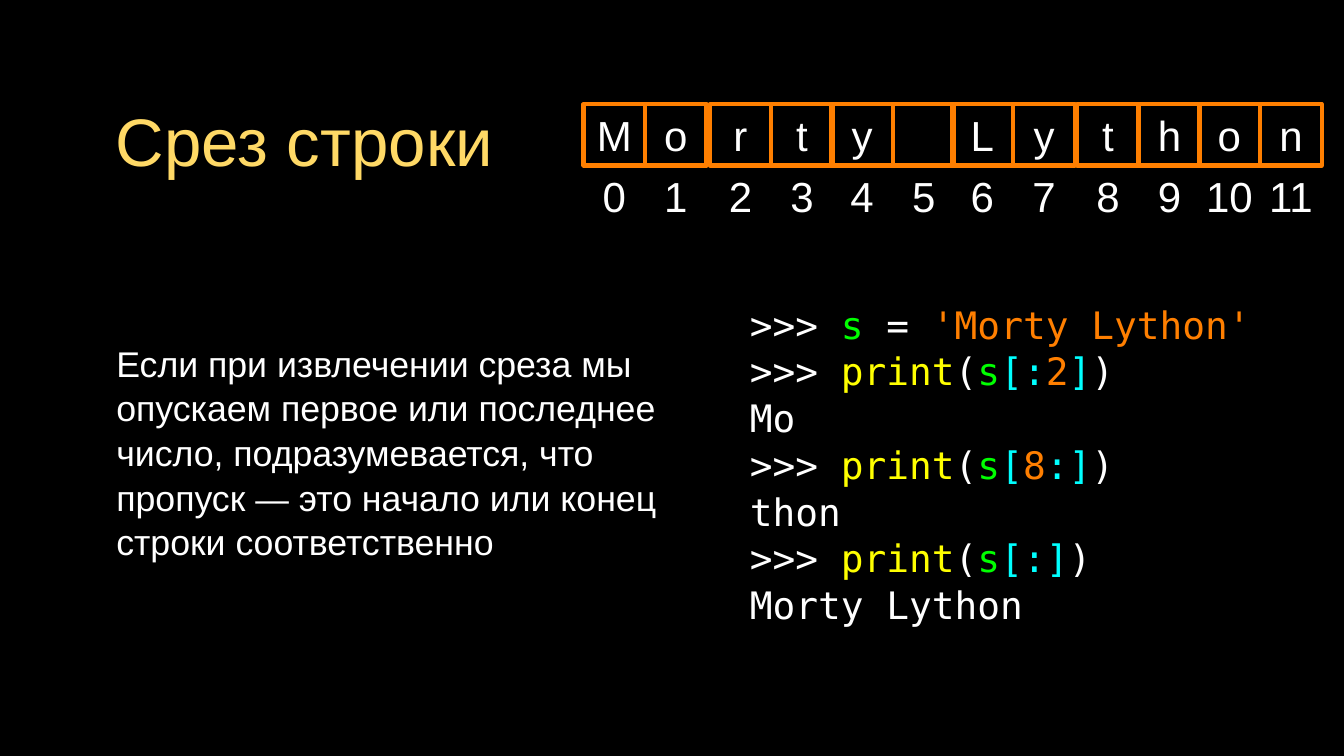
from dataclasses import dataclass

from lxml import etree
from pptx import Presentation
from pptx.dml.color import RGBColor
from pptx.enum.shapes import MSO_SHAPE
from pptx.enum.text import MSO_ANCHOR, MSO_AUTO_SIZE, PP_ALIGN
from pptx.oxml.ns import qn
from pptx.util import Cm, Pt

RECTANGLE = MSO_SHAPE.RECTANGLE
MIDDLE = MSO_ANCHOR.MIDDLE
NO_AUTOFIT = MSO_AUTO_SIZE.NONE
CENTER, LEFT = PP_ALIGN.CENTER, PP_ALIGN.LEFT


@dataclass(frozen=True)
class Theme:
    """Colours, fonts and type sizes of the slide."""

    background: str = "000000"
    text: str = "FFFFFF"
    heading: str = "FFD966"
    literal: str = "FF7F00"
    variable: str = "00FF00"
    function: str = "FFFF00"
    slicing: str = "00FFFF"
    prose_font: str = "Arial"
    code_font: str = "DejaVu Sans Mono"
    title_size: int = 64
    letter_size: int = 40
    code_size: int = 36
    body_size: int = 34
    dash_size: int = 32


THEME = Theme()
WORD = "Morty Lython"
PAIR_LEFTS = (19.61, 23.85, 27.94, 31.98, 36.2, 40.28)
CELL_STEP, CELL_SIZE = 2.07, 2.06
CELL_TOP, INDEX_TOP = 3.5, 5.55
EXPLANATION = (
    ("Если при извлечении среза мы опускаем первое или последнее число, "
     "подразумевается, что пропуск ", THEME.body_size),
    ("—", THEME.dash_size),
    (" это начало или конец строки соответственно", THEME.body_size),
)


def apply_format(target, values):
    """Set each named attribute of the target."""
    for name, value in values.items():
        setattr(target, name, value)


def place(shape, left, top, width, height):
    """Move and size a shape, in centimetres."""
    apply_format(shape, {"left": Cm(left), "top": Cm(top),
                         "width": Cm(width), "height": Cm(height)})


def format_frame(frame, inset=0):
    """Centre the text vertically with equal insets."""
    sides = ("margin_left", "margin_top", "margin_right", "margin_bottom")
    apply_format(frame, {"word_wrap": True, "auto_size": NO_AUTOFIT,
                         "vertical_anchor": MIDDLE, **dict.fromkeys(sides, Cm(inset))})


def add_run(paragraph, text, size, color=THEME.text, font=THEME.prose_font):
    """Append a formatted run to a paragraph."""
    run = paragraph.add_run()
    run.text = text
    apply_format(run.font, {"size": Pt(size), "name": font})
    run.font.color.rgb = RGBColor.from_string(color)


def fill_title(title):
    """Write the slide title."""
    place(title, 3.2, 2.31, 14.05, 4.75)
    format_frame(title.text_frame, 0.1)
    heading = title.text_frame.paragraphs[0]
    heading.alignment = CENTER
    add_run(heading, "Срез строки", THEME.title_size, THEME.heading)


def fill_explanation(body):
    """Write the explanation without a bullet."""
    place(body, 3.2, 7.24, 19.51, 15.85)
    format_frame(body.text_frame, 0.1)
    paragraph = body.text_frame.paragraphs[0]
    properties = paragraph._p.get_or_add_pPr()
    properties.set("marL", str(Cm(0.61)))
    properties.set("indent", "0")
    etree.SubElement(properties, qn("a:buNone"))
    apply_format(paragraph, {"alignment": LEFT, "space_before": Pt(0),
                             "line_spacing": 1.04})
    for text, size in EXPLANATION:
        add_run(paragraph, text, size)


def fill_symbol(shape, symbol):
    """Centre one letter or index in its cell."""
    format_frame(shape.text_frame)
    paragraph = shape.text_frame.paragraphs[0]
    paragraph.alignment = CENTER
    if symbol.strip():
        add_run(paragraph, symbol, THEME.letter_size)


def add_letter_cells(slide):
    """Draw the outlined letters with their indexes below."""
    for index, letter in enumerate(WORD):
        pair, second = divmod(index, 2)
        left = Cm(PAIR_LEFTS[pair] + second * CELL_STEP)
        size = Cm(CELL_SIZE)
        label = slide.shapes.add_textbox(left, Cm(INDEX_TOP), size, size)
        fill_symbol(label, str(index))
        cell = slide.shapes.add_shape(RECTANGLE, left, Cm(CELL_TOP), size, size)
        cell.shadow.inherit = False
        cell.fill.background()
        cell.line.color.rgb = RGBColor.from_string(THEME.literal)
        cell.line.width = Pt(4)
        fill_symbol(cell, letter)


def print_call(*slice_tokens):
    """Return the coloured tokens of one print call on a slice."""
    return ((">>> ", THEME.text), ("print", THEME.function), ("(", THEME.text),
            ("s", THEME.variable), *slice_tokens, (")", THEME.text))


def add_code(slide):
    """Write the interpreter session."""
    lines = (
        ((">>> ", THEME.text), ("s", THEME.variable), (" = ", THEME.text),
         (f"'{WORD}'", THEME.literal)),
        print_call(("[:", THEME.slicing), ("2", THEME.literal), ("]", THEME.slicing)),
        ((WORD[:2], THEME.text),),
        print_call(("[", THEME.slicing), ("8", THEME.literal), (":]", THEME.slicing)),
        ((WORD[8:], THEME.text),),
        print_call(("[:]", THEME.slicing)),
        ((WORD, THEME.text),),
    )
    session = slide.shapes.add_textbox(Cm(25.2), Cm(10.19), Cm(19.08), Cm(10.77))
    frame = session.text_frame
    format_frame(frame)
    for number, tokens in enumerate(lines):
        paragraph = frame.add_paragraph() if number else frame.paragraphs[0]
        apply_format(paragraph, {"alignment": LEFT, "line_spacing": 1.03})
        for text, color in tokens:
            add_run(paragraph, text, THEME.code_size, color, THEME.code_font)


def main():
    """Build and save the slide."""
    presentation = Presentation()
    apply_format(presentation, {"slide_width": Cm(45.16), "slide_height": Cm(25.4)})
    slide = presentation.slides.add_slide(presentation.slide_layouts[1])
    backdrop = slide.background.fill
    backdrop.solid()
    backdrop.fore_color.rgb = RGBColor.from_string(THEME.background)
    add_code(slide)
    fill_title(slide.shapes.title)
    fill_explanation(slide.placeholders[1])
    add_letter_cells(slide)
    presentation.save("out.pptx")


if __name__ == "__main__":
    main()
